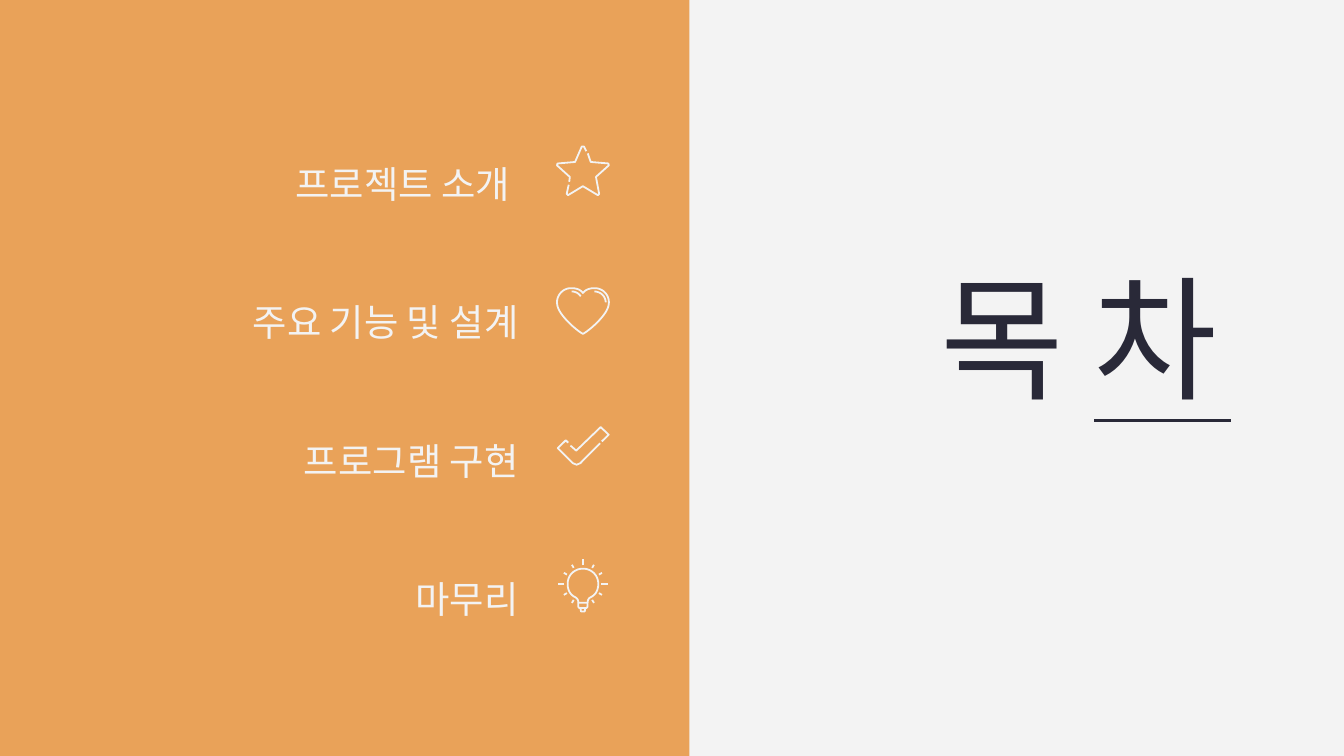
"""Build a table-of-contents slide with four icon-marked entries."""
import math
import pptx
import pptx.dml.color
import pptx.enum.shapes
import pptx.enum.text
import pptx.oxml.ns
import pptx.util
from lxml import etree

Pt = pptx.util.Pt
color = pptx.dml.color.RGBColor.from_string
PALE, DARK, ORANGE = "F3F3F3", "292938", "E9A259"
ICON_CENTER = 312.3
STROKE = 0.95


def write(box, text, font, size, hex_color, anchor, top_inset=7.2, space_after=0):
    frame = box.text_frame
    frame.text = text
    frame.word_wrap = True
    frame.auto_size = pptx.enum.text.MSO_AUTO_SIZE.NONE
    frame.vertical_anchor = anchor
    frame.margin_left = frame.margin_right = frame.margin_bottom = Pt(7.2)
    frame.margin_top = Pt(top_inset)
    para = frame.paragraphs[0]
    para.alignment = pptx.enum.text.PP_ALIGN.RIGHT
    para.space_before, para.space_after = Pt(0), Pt(space_after)
    properties = para._p.get_or_add_pPr()
    properties.set("marL", "0")
    properties.set("indent", "0")
    etree.SubElement(properties, pptx.oxml.ns.qn("a:buNone"))
    span = para.runs[0]
    span.font.name, span.font.size, span.font.bold = font, Pt(size), False
    span.font.color.rgb = color(hex_color)


def draw(points, curved=False, closed=False):
    if curved:
        controls, points = points, [points[0]]
        for start in range(0, len(controls) - 1, 3):
            for step in range(1, 13):
                t = step / 12
                weights = [math.comb(3, k) * (1 - t) ** (3 - k) * t ** k for k in range(4)]
                points.append([
                    sum(w * p[axis] for w, p in zip(weights, controls[start:start + 4]))
                    for axis in range(2)
                ])
    places = [(Pt(ICON_CENTER + x), Pt(y)) for x, y in points]
    builder = slide.shapes.build_freeform(*places[0])
    builder.add_line_segments(places[1:], close=closed)
    outline = builder.convert_to_shape()
    outline.shadow.inherit = False
    outline.fill.background()
    outline.line.color.rgb = color(PALE)
    outline.line.width = Pt(STROKE)


deck = pptx.Presentation()
deck.slide_width, deck.slide_height = Pt(720), Pt(405)
slide = deck.slides.add_slide(deck.slide_layouts.get_by_name("Comparison"))
slide.background.fill.solid()
slide.background.fill.fore_color.rgb = color(PALE)

title, *entries = slide.placeholders
panel = slide.shapes.add_shape(pptx.enum.shapes.MSO_SHAPE.RECTANGLE, 0, 0, Pt(369.4), Pt(405))
panel.shadow.inherit = False
panel.fill.solid()
panel.fill.fore_color.rgb = color(ORANGE)
panel.line.fill.background()
title.element.addprevious(panel.element)

title.left, title.top, title.width, title.height = Pt(408.2), Pt(138.2), Pt(251.3), Pt(92.2)
write(title, "목 차", "Calibri", 72, DARK, pptx.enum.text.MSO_ANCHOR.BOTTOM)

labels = ["프로젝트 소개 ", "주요 기능 및 설계", "프로그램 구현", "마무리"]
for row, (entry, label) in enumerate(zip(entries, labels)):
    entry.left, entry.top = Pt(61.2), Pt(59.8 + 74.2 * row)
    entry.width, entry.height = Pt(223.9), Pt(62.6)
    write(entry, label, "Roboto", 20, PALE, pptx.enum.text.MSO_ANCHOR.MIDDLE,
          top_inset=21.6, space_after=16)

star = [
    [(2.6, 82.2), (4.2, 86.8), (13.6, 87.6), (13.9, 88.6), (7, 94.8), (8.7, 103.9),
     (8, 104.6), (0, 99.8), (-8, 104.6), (-8.7, 103.9), (-7.6, 99)],
    [(-7.3, 97.4), (-7, 94.8), (-13.9, 88.6), (-13.6, 87.6), (-4.2, 86.8),
     (-0.6, 78.5), (0.6, 78.5), (1.8, 81)],
]
check = [
    [(-7.9, 237.2), (-9.2, 235.9), (-13.5, 240.1), (-5.4, 248.2), (-3.4, 249),
     (-1.4, 248.2), (9.2, 237.5)],
    [(-6.7, 238.7), (-3.6, 241.4), (9.5, 228.8), (13.8, 232.9), (10.1, 236.5)],
]
bulb_base = [
    [(-2.5, 322.9), (-2.5, 325), (-2, 325.7), (2, 325.7), (2.5, 325), (2.5, 322.9)],
    [(-1.3, 325.7), (-1, 327.6), (1, 327.6), (1.3, 325.7)],
]
for stroke in star + check + bulb_base:
    draw(stroke)

heart_half = [
    (0, 157), (-1.5, 155), (-3.8, 154.4), (-6.3, 154.4), (-10.5, 154.4), (-13.9, 157.8),
    (-13.9, 162), (-13.9, 166.5), (-9.5, 170.9), (-6.9, 173.5), (-4, 176.3),
    (-1.2, 178.3), (0, 178.9),
]
bulb_half = [
    (-2.5, 322.9), (-2.5, 321), (-3.5, 320.3), (-4.3, 319.9), (-7, 318.5), (-8.2, 316),
    (-8.2, 312.8), (-8.2, 308.2), (-4.6, 304.7), (0, 304.7),
]
for half in (heart_half, bulb_half):
    draw(half + [(-x, y) for x, y in half[-2::-1]], curved=True, closed=True)

heart_highlights = [
    [(6.1, 156.2), (9.6, 156.2), (12.2, 158.8), (12.2, 162)],
    [(-6.1, 156.2), (-4, 156.2), (-2.2, 157.2), (-1.2, 158.8)],
]
for highlight in heart_highlights:
    draw(highlight, curved=True)

lines = [(586.1, 225.2, 659.5, 225.2, DARK, 1.5)]
for degrees in range(-150, 151, 30):
    x, y = math.sin(math.radians(degrees)), -math.cos(math.radians(degrees))
    reach = 13.2 if degrees % 90 == 0 else 11.8
    lines.append((ICON_CENTER + 9.9 * x, 312.8 + 9.9 * y,
                  ICON_CENTER + reach * x, 312.8 + reach * y, PALE, STROKE))
for *ends, hex_color, width in lines:
    line = slide.shapes.add_connector(
        pptx.enum.shapes.MSO_CONNECTOR.STRAIGHT, *[Pt(end) for end in ends])
    line.line.color.rgb = color(hex_color)
    line.line.width = Pt(width)
    etree.SubElement(line.element.spPr, pptx.oxml.ns.qn("a:effectLst"))

deck.save("out.pptx")
